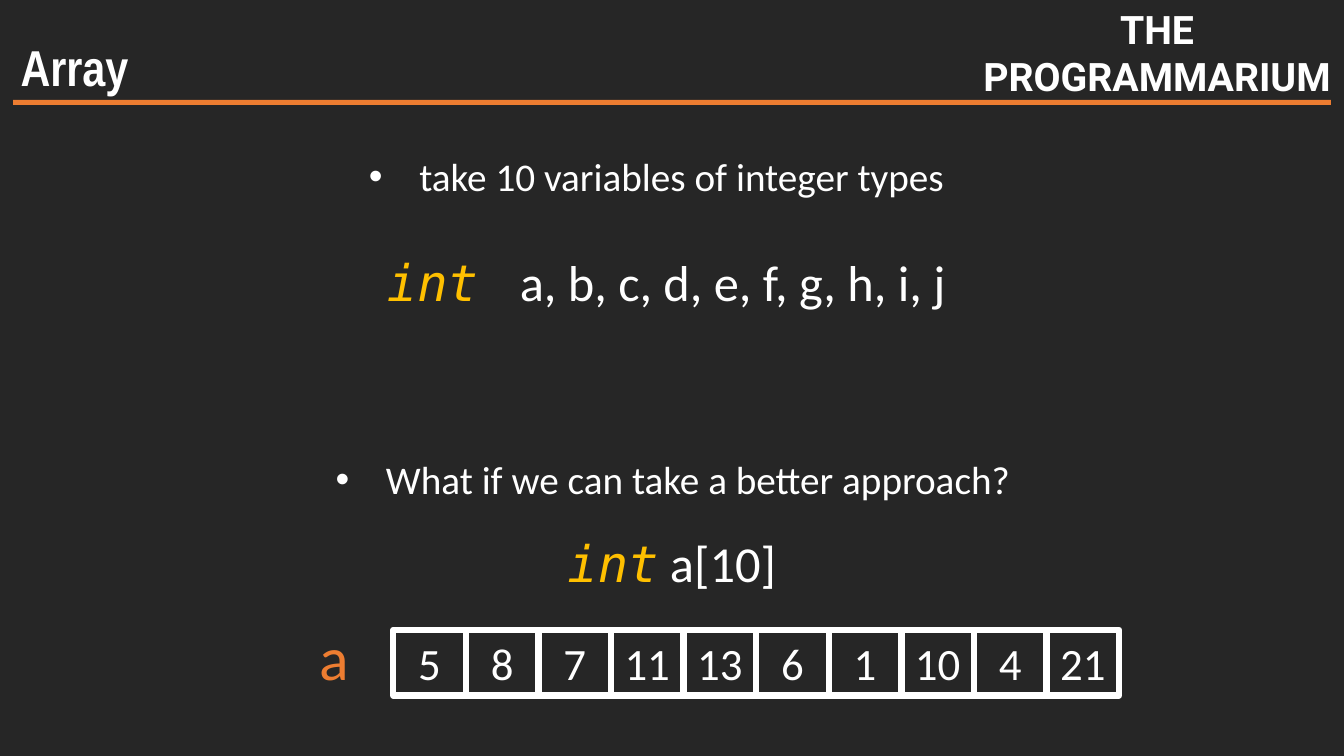
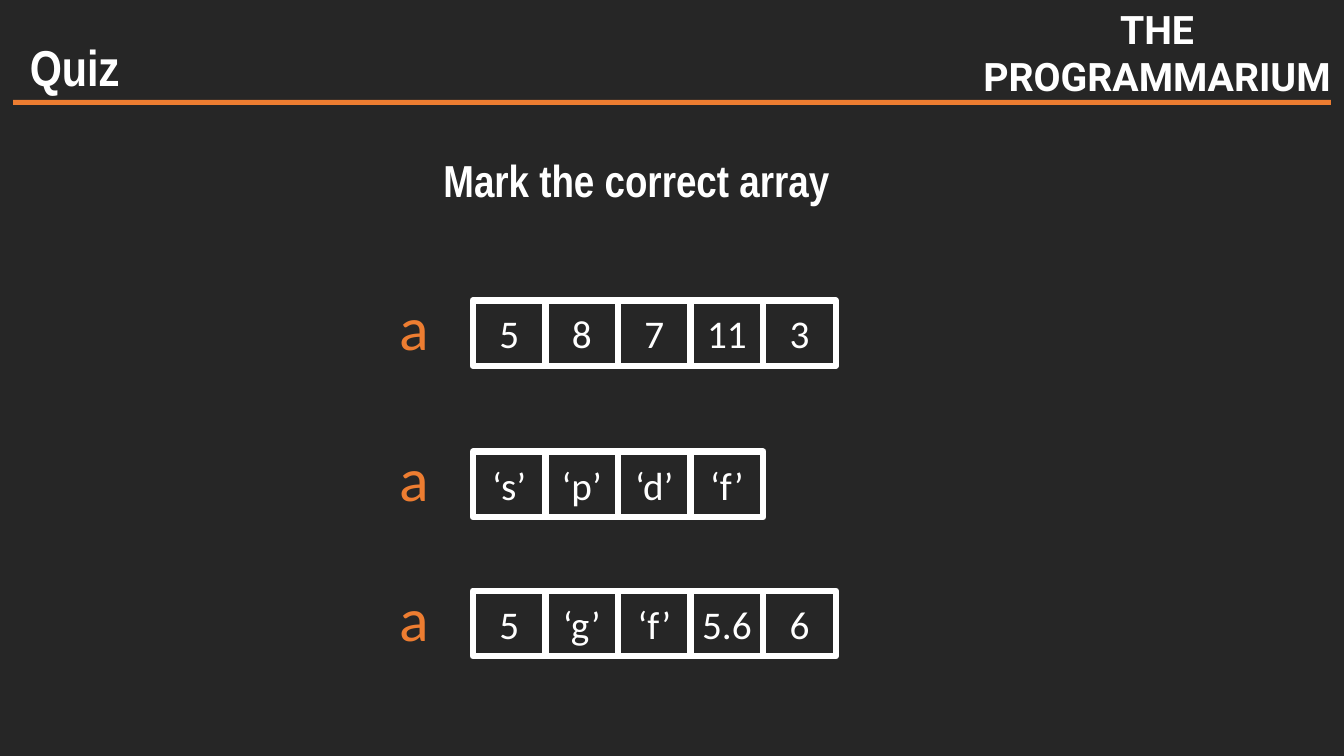
from dataclasses import dataclass

from lxml import etree
from pptx import Presentation
from pptx.dml.color import RGBColor
from pptx.enum.shapes import MSO_SHAPE
from pptx.enum.text import MSO_ANCHOR, MSO_AUTO_SIZE, PP_ALIGN
from pptx.oxml.ns import qn
from pptx.util import Inches, Pt

RECT = MSO_SHAPE.RECTANGLE
LEFT, CENTER = PP_ALIGN.LEFT, PP_ALIGN.CENTER
TOP, MIDDLE = MSO_ANCHOR.TOP, MSO_ANCHOR.MIDDLE
NO_FIT = MSO_AUTO_SIZE.NONE
TITLE_ONLY = 5


@dataclass(frozen=True)
class Theme:
    background: str = "262626"
    white: str = "FFFFFF"
    orange: str = "ED7D31"
    keyword: str = "FFC000"
    heading_font: str = "Arial Narrow"
    brand_font: str = "Roboto"
    body_font: str = "Calibri"
    code_font: str = "DejaVu Sans Mono"
    body_size: int = 28
    value_size: int = 32
    title_size: int = 36
    name_size: int = 44
    cell_line: float = 4.5


T = Theme()
CELL_W, CELL_H = 0.72, 0.65


def color(value):
    return RGBColor.from_string(value)


def box(left, top, width, height):
    return Inches(left), Inches(top), Inches(width), Inches(height)


# Text
def add_run(p, text, size=T.body_size, font=T.body_font, ink=T.white,
            bold=False, italic=False):
    r = p.add_run()
    r.text = text
    r.font.size, r.font.name = Pt(size), font
    r.font.color.rgb = color(ink)
    r.font.bold, r.font.italic = bold, italic


def first_paragraph(shape, align=LEFT, anchor=TOP):
    tf = shape.text_frame
    tf.word_wrap, tf.auto_size = True, NO_FIT
    tf.vertical_anchor = anchor
    p = tf.paragraphs[0]
    p.alignment = align
    return p


def add_text(shapes, area, align=LEFT):
    return first_paragraph(shapes.add_textbox(*box(*area)), align)


def add_bullet(s, area, text):
    p = add_text(s.shapes, area)
    pPr = p._p.get_or_add_pPr()
    pPr.set("marL", str(Inches(0.5)))
    pPr.set("indent", str(-Inches(0.5)))
    etree.SubElement(pPr, qn("a:buFont")).set("typeface", "Arial")
    etree.SubElement(pPr, qn("a:buChar")).set("char", "•")
    add_run(p, text)


def add_declaration(s, area, keyword, names):
    p = add_text(s.shapes, area)
    add_run(p, keyword, T.title_size, T.code_font, T.keyword, italic=True)
    add_run(p, names, T.title_size)


# Array: its name and a row of cells
def add_array(s, left, top, values, size):
    shapes = s.shapes.add_group_shape().shapes
    for i, value in enumerate(values):
        area = box(left + i * CELL_W, top, CELL_W, CELL_H)
        cell = shapes.add_shape(RECT, *area)
        cell.shadow.inherit = False
        cell.fill.background()
        cell.line.color.rgb = color(T.white)
        cell.line.width = Pt(T.cell_line)
        p = first_paragraph(cell, CENTER, MIDDLE)
        tf = cell.text_frame
        tf.margin_left = tf.margin_right = tf.margin_top = tf.margin_bottom = 0
        add_run(p, value, size)
    p = add_text(shapes, (left - 0.83, top - 0.16, CELL_W, 0.84))
    add_run(p, "a", T.name_size, ink=T.orange)


# Shared frame: title, brand and rule
def add_slide(prs, title):
    s = prs.slides.add_slide(prs.slide_layouts[TITLE_ONLY])

    p = add_text(s.shapes, (9.62, 0, 3.71, 1.04), CENTER)
    brand = dict(size=T.body_size, font=T.brand_font, bold=True)
    add_run(p, "THE", **brand)
    p.add_line_break()
    add_run(p, "PROGRAMMARIUM", **brand)

    rule = s.shapes.add_shape(RECT, *box(0.13, 0.99, 13.07, 0.05))
    rule.shadow.inherit = False
    rule.fill.solid()
    rule.fill.fore_color.rgb = color(T.orange)
    rule.line.fill.background()

    heading = s.shapes.title
    heading.left, heading.top, heading.width, heading.height = box(
        -0.16, 0.31, 1.8, 0.71)
    p = first_paragraph(heading, CENTER)
    add_run(p, title, T.title_size, T.heading_font, bold=True)
    return s


def build_array_slide(prs):
    s = add_slide(prs, "Array")
    add_bullet(s, (3.56, 1.46, 6.22, 0.57), "take 10 variables of integer types")
    add_declaration(s, (3.74, 2.44, 6.04, 0.71),
                    "int ", " a, b, c, d, e, f, g, h, i, j")
    add_bullet(s, (3.23, 4.47, 7.08, 0.57),
               "What if we can take a better approach?")
    add_declaration(s, (5.53, 5.23, 2.28, 0.71), "int", " a[10]")
    values = ["5", "8", "7", "11", "13", "6", "1", "10", "4", "21"]
    add_array(s, 3.9, 6.25, values, T.value_size)


def build_quiz_slide(prs):
    s = add_slide(prs, "Quiz")
    choices = [
        (2.98, ["5", "8", "7", "11", "3"]),
        (4.48, ["‘s’", "‘p’", "‘d’", "‘f’"]),
        (5.86, ["5", "‘g’", "‘f’", "5.6", "6"]),
    ]
    for top, values in choices:
        add_array(s, 4.69, top, values, T.body_size)
    p = add_text(s.shapes, (4.2, 1.47, 4.23, 0.64), CENTER)
    add_run(p, "Mark the correct array", T.value_size, T.heading_font, bold=True)


def main():
    prs = Presentation()
    prs.slide_width, prs.slide_height = Inches(13.33), Inches(7.5)
    fill = prs.slide_master.background.fill
    fill.solid()
    fill.fore_color.rgb = color(T.background)
    build_array_slide(prs)
    build_quiz_slide(prs)
    prs.save("out.pptx")


main()
